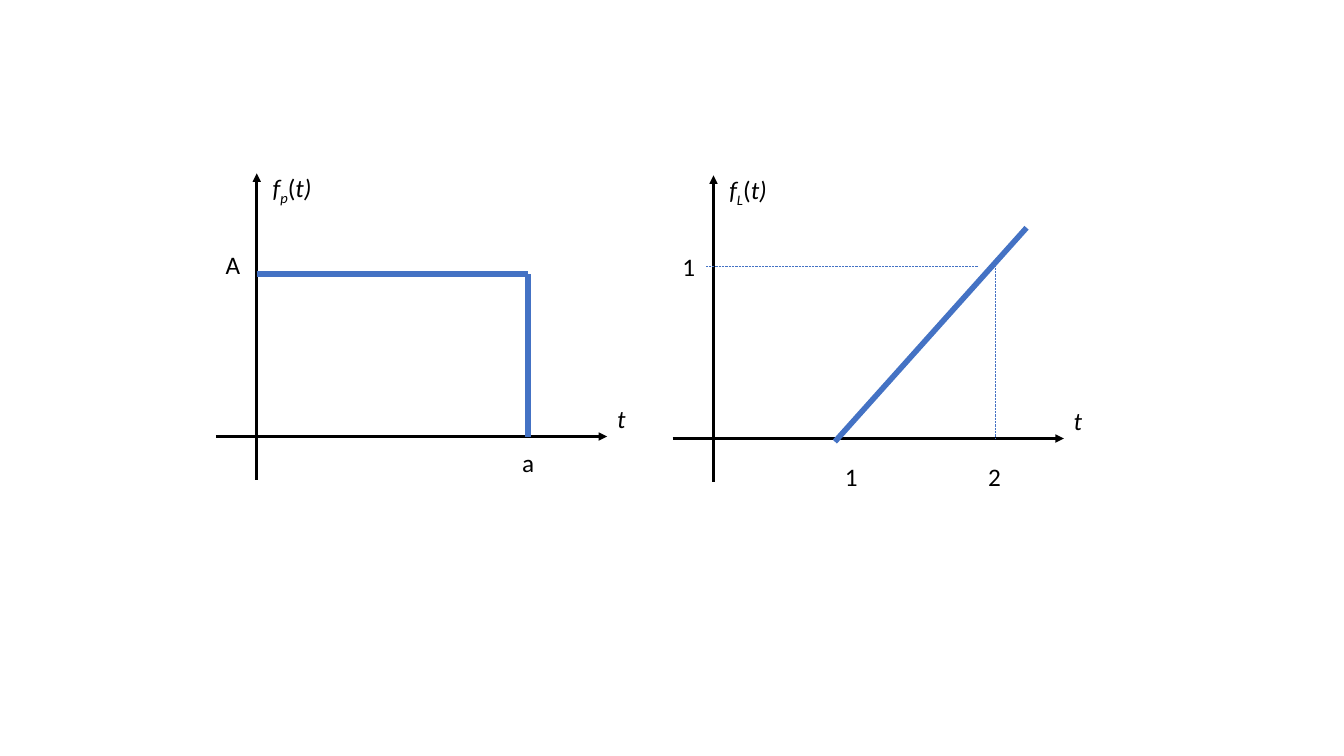
import dataclasses

import lxml.etree
import pptx
import pptx.dml.color
import pptx.enum.dml
import pptx.enum.shapes
import pptx.enum.text
import pptx.oxml.ns
import pptx.util

Cm = pptx.util.Cm


@dataclasses.dataclass(frozen=True)
class Theme:
    """Colours, font, type size and line widths of the slide."""
    ink: str = "000000"
    curve: str = "4472C4"
    font: str = "Calibri"
    text_size: float = 18
    axis_width: float = 2
    curve_width: float = 4
    guide_width: float = 0.5


THEME = Theme()

# Measurements shared by both graphs, in centimetres from the graph's corner.
AXIS_LENGTH = 9.86
TIME_AXIS_Y = 6.78
VALUE_AXIS_X = 1.03
VALUE_AXIS_TOP, VALUE_AXIS_BOTTOM = 0.15, 7.87
LABEL_HEIGHT = 1.02
LEVEL_LABEL_Y = 1.93


def add_line(slide, box, start, end, color, width, arrow=False, dotted=False):
    """Draw a straight line between two points relative to the box corner."""
    left, top = box
    line = slide.shapes.add_connector(
        pptx.enum.shapes.MSO_CONNECTOR.STRAIGHT,
        Cm(left + start[0]), Cm(top + start[1]),
        Cm(left + end[0]), Cm(top + end[1]))
    line.line.color.rgb = pptx.dml.color.RGBColor.from_string(color)
    line.line.width = pptx.util.Pt(width)
    if dotted:
        # ROUND_DOT is written to the file as the sysDot dash.
        line.line.dash_style = pptx.enum.dml.MSO_LINE.ROUND_DOT
    if arrow:
        tail = lxml.etree.SubElement(
            line.line._get_or_add_ln(), pptx.oxml.ns.qn("a:tailEnd"))
        tail.set("type", "triangle")
    lxml.etree.SubElement(
        line._element.spPr, pptx.oxml.ns.qn("a:effectLst"))


def add_label(slide, box, position, width, parts):
    """Write a label from (text, italic, subscript) parts."""
    left, top = box
    label = slide.shapes.add_textbox(
        Cm(left + position[0]), Cm(top + position[1]),
        Cm(width), Cm(LABEL_HEIGHT))
    frame = label.text_frame
    frame.word_wrap = False
    frame.auto_size = pptx.enum.text.MSO_AUTO_SIZE.SHAPE_TO_FIT_TEXT
    for text, italic, subscript in parts:
        run = frame.paragraphs[0].add_run()
        run.text = text
        run.font.name = THEME.font
        run.font.size = pptx.util.Pt(THEME.text_size)
        run.font.italic = italic
        run.font.color.rgb = pptx.dml.color.RGBColor.from_string(THEME.ink)
        if subscript:
            run.font._element.set("baseline", "-25000")


def add_value_label(slide, box, position, width, text):
    """Write an upright label beside an axis."""
    add_label(slide, box, position, width, [(text, False, False)])


def add_curve(slide, box, start, end):
    """Draw one thick piece of a function's curve."""
    add_line(slide, box, start, end, THEME.curve, THEME.curve_width)


def add_guide(slide, box, start, end):
    """Draw a thin dotted guide line."""
    add_line(slide, box, start, end, THEME.curve, THEME.guide_width, dotted=True)


def add_axes(slide, box):
    """Draw the time and value axes."""
    for start, end in (
            ((0, TIME_AXIS_Y), (AXIS_LENGTH, TIME_AXIS_Y)),
            ((VALUE_AXIS_X, VALUE_AXIS_BOTTOM), (VALUE_AXIS_X, VALUE_AXIS_TOP))):
        add_line(slide, box, start, end, THEME.ink, THEME.axis_width, arrow=True)


def add_axis_names(slide, box, subscript):
    """Name the value axis f(t) with its subscript, and the time axis t."""
    add_label(slide, box, (1.18, 0), 1.55, [
        ("f", True, False), (subscript, True, True),
        ("(", False, False), ("t)", True, False)])
    add_label(slide, box, (AXIS_LENGTH, 5.82), 0.74, [("t", True, False)])


def add_pulse_graph(slide, box):
    """Draw the rectangular pulse of height A and length a."""
    level, end = 2.69, 7.87
    add_axes(slide, box)
    add_curve(slide, box, (VALUE_AXIS_X, level), (end, level))
    add_curve(slide, box, (end, level), (end, TIME_AXIS_Y))
    add_value_label(slide, box, (0, LEVEL_LABEL_Y), 0.89, "A")
    add_value_label(slide, box, (7.47, 6.93), 0.81, "a")
    add_axis_names(slide, box, "p")


def add_ramp_graph(slide, box):
    """Draw the ramp that starts at 1 and reaches 1 at time 2."""
    width = 0.84
    add_axes(slide, box)
    add_curve(slide, box, (4.09, 6.86), (8.92, 1.47))
    for position, text in (
            ((0, LEVEL_LABEL_Y), "1"), ((4.09, 7.24), "1"), ((7.7, 7.24), "2")):
        add_value_label(slide, box, position, width, text)
    add_axis_names(slide, box, "L")
    add_guide(slide, box, (8.13, TIME_AXIS_Y), (8.13, 2.39))
    add_guide(slide, box, (7.7, 2.44), (width, 2.44))


def main():
    """Build and save the slide with its two graphs."""
    presentation = pptx.Presentation()
    presentation.slide_width = Cm(33.87)
    presentation.slide_height = Cm(19.05)
    slide = presentation.slides.add_slide(presentation.slide_layouts[6])
    add_pulse_graph(slide, (5.44, 4.22))
    add_ramp_graph(slide, (16.95, 4.27))
    presentation.save("out.pptx")


main()
